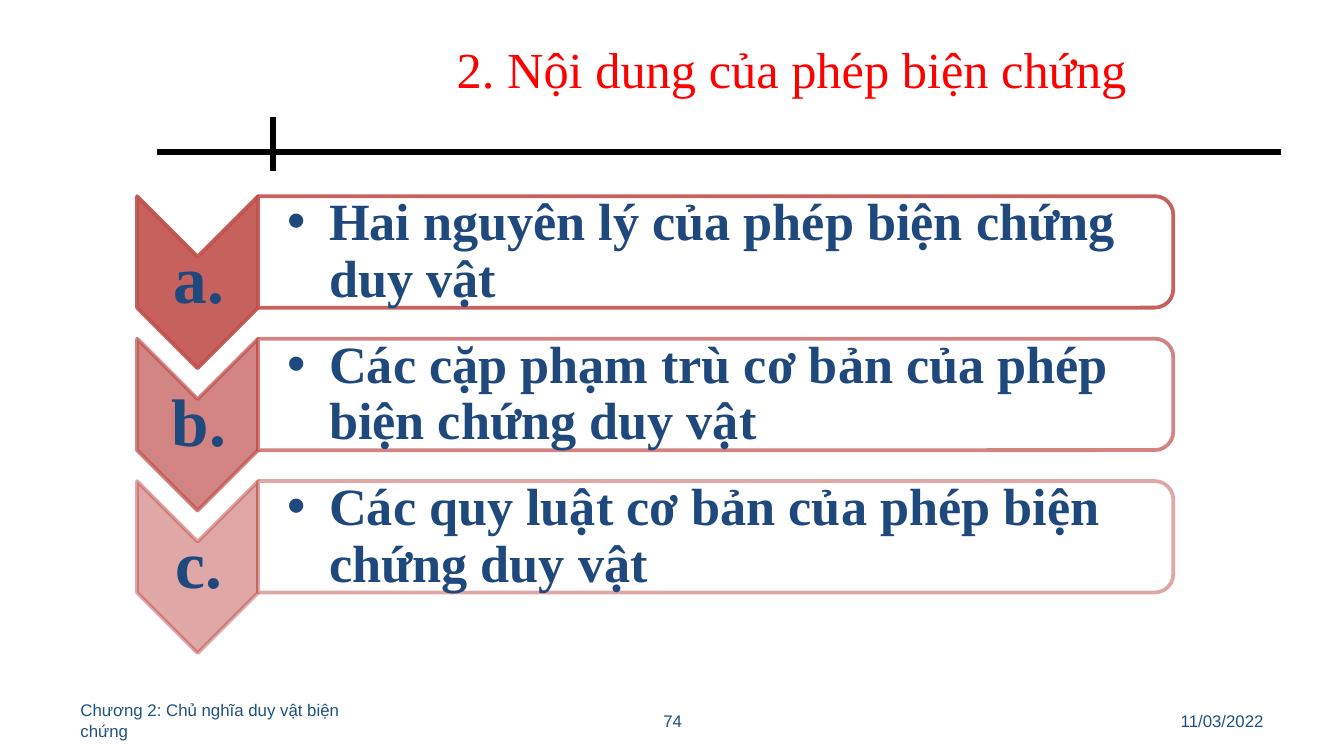
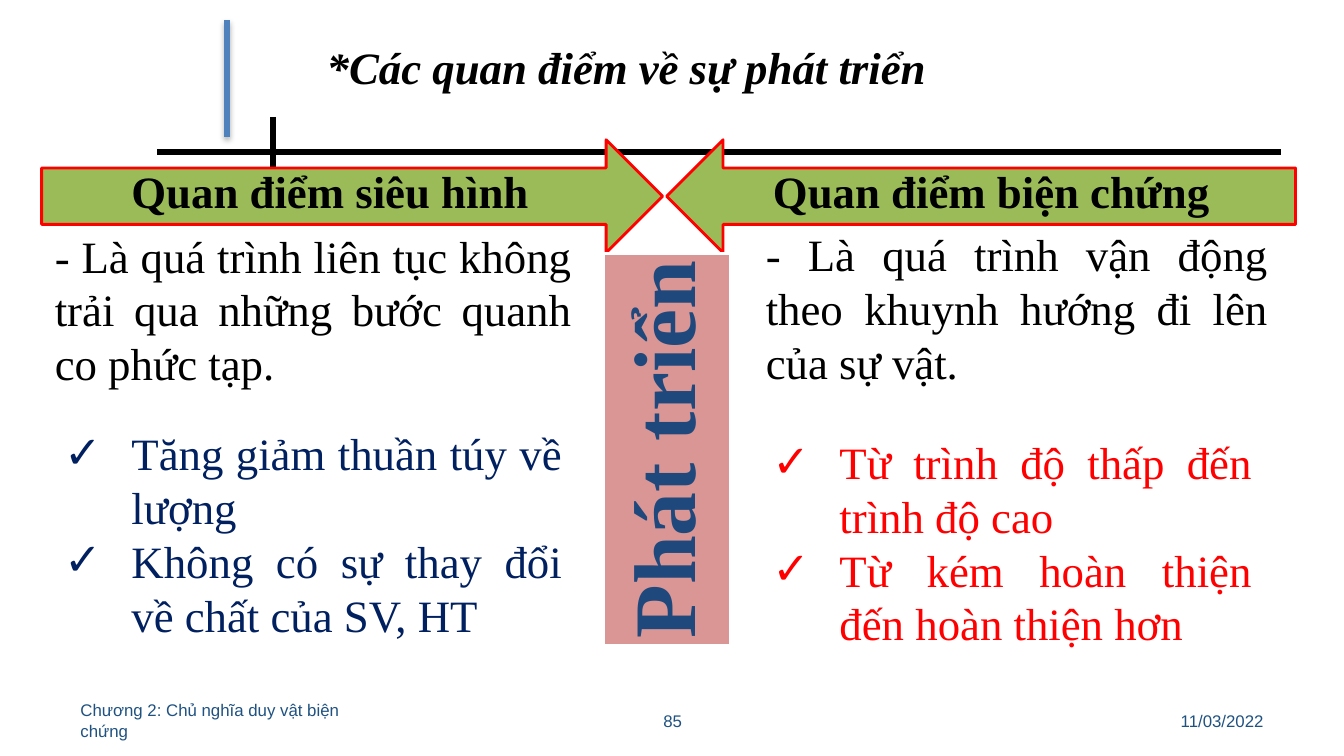
from dataclasses import dataclass
from typing import NamedTuple, Optional

import pptx
import pptx.dml.color
import pptx.enum.dml
import pptx.enum.shapes
import pptx.enum.text
import pptx.oxml
import pptx.oxml.ns
import pptx.util
from lxml import etree

SHAPE = pptx.enum.shapes.MSO_SHAPE
ANCHOR = pptx.enum.text.MSO_ANCHOR
ALIGN = pptx.enum.text.PP_ALIGN
EMU_PER_PX = 9144
SLIDE_WIDTH = 1000


@dataclass(frozen=True)
class Theme:
    serif: str = "Times New Roman"
    sans: str = "Arial"
    white: str = "FFFFFF"
    black: str = "000000"
    red: str = "FF0000"
    brick: str = "C0504D"
    rose: str = "D99694"
    green: str = "9BBB59"
    blue: str = "4F81BD"
    ink: str = "1F497D"
    navy: str = "002060"
    footer: str = "1F5281"
    title_size: int = 27
    body_size: int = 24
    item_size: int = 28
    letter_size: int = 36
    topic_size: int = 47
    footer_size: int = 9
    rule_width: float = 3
    outline_width: float = 2
    arrow_width: float = 1.5


THEME = Theme()


class Box(NamedTuple):
    left: int
    top: int
    width: int
    height: int

    def down(self, distance: int) -> "Box":
        return self._replace(top=self.top + distance)


class Insets(NamedTuple):
    left: int = 10
    top: int = 5
    right: int = 10
    bottom: int = 5


class Bullet(NamedTuple):
    mark: str
    indent: int
    level: int = 0


@dataclass(frozen=True)
class TextStyle:
    size: int
    color: str = THEME.black
    font: str = THEME.serif
    bold: bool = False
    italic: bool = False
    align: ALIGN = ALIGN.LEFT
    anchor: ANCHOR = ANCHOR.MIDDLE
    spacing: Optional[float] = None
    insets: Insets = Insets()
    bullet: Optional[Bullet] = None


class Paint(NamedTuple):
    color: str
    opacity: int = 100


class Outline(NamedTuple):
    paint: Paint
    width: float


class Rule(NamedTuple):
    start: tuple[int, int]
    end: tuple[int, int]
    color: str = THEME.black
    shadow: bool = False


class FooterPart(NamedTuple):
    box: Box
    align: ALIGN


class Viewpoint(NamedTuple):
    heading: str
    heading_box: Box
    arrow: SHAPE
    arrow_box: Box
    definition: str
    definition_box: Box
    features: tuple[str, ...]
    features_box: Box
    features_color: str


HEADER_RULES = (Rule((117, 113), (953, 113)), Rule((203, 87), (203, 127)))
ACCENT_RULE = Rule((169, 15), (169, 102), THEME.blue, shadow=True)
CHAPTER_PART = FooterPart(Box(50, 521, 233, 30), ALIGN.LEFT)
NUMBER_PART = FooterPart(Box(342, 521, 317, 30), ALIGN.CENTER)
DATE_PART = FooterPart(Box(717, 521, 233, 30), ALIGN.RIGHT)

CONTENT_ITEMS = (
    ("a.", "Hai nguyên lý của phép biện chứng duy vật", 90),
    ("b.", "Các cặp phạm trù cơ bản của phép biện chứng duy vật", 70),
    ("c.", "Các quy luật cơ bản của phép biện chứng duy vật", 50),
)
ITEM_STEP = 106

VIEWPOINTS = (
    Viewpoint(
        "Quan điểm biện chứng", Box(534, 117, 407, 50),
        SHAPE.LEFT_ARROW, Box(496, 104, 468, 84),
        "- Là quá trình vận động theo khuynh hướng đi lên của sự vật.",
        Box(560, 164, 393, 131),
        ("Từ trình độ thấp đến trình độ cao", "Từ kém hoàn thiện đến hoàn thiện hơn"),
        Box(556, 313, 394, 181), THEME.red,
    ),
    Viewpoint(
        "Quan điểm siêu hình", Box(42, 117, 407, 50),
        SHAPE.RIGHT_ARROW, Box(31, 104, 462, 84),
        "- Là quá trình liên tục không trải qua những bước quanh co phức tạp.",
        Box(31, 165, 404, 131),
        ("Tăng giảm thuần túy về lượng", "Không có sự thay đổi về chất của SV, HT"),
        Box(31, 325, 404, 144), THEME.navy,
    ),
)

TITLE = TextStyle(THEME.title_size, THEME.red, align=ALIGN.CENTER, spacing=0.9,
                  insets=Insets(bottom=9))
SUBTITLE = TextStyle(THEME.body_size, bold=True, italic=True, align=ALIGN.CENTER,
                     anchor=ANCHOR.BOTTOM, spacing=0.9, insets=Insets(right=18, bottom=1))
LETTER = TextStyle(THEME.letter_size, THEME.ink, bold=True, align=ALIGN.CENTER,
                   spacing=0.9, insets=Insets(3, 3, 3, 3))
ITEM = TextStyle(THEME.item_size, THEME.ink, bold=True, spacing=0.9,
                 insets=Insets(22, 2, 2, 2), bullet=Bullet("•", 31, 1))
TOPIC = TextStyle(THEME.topic_size, THEME.ink, bold=True, align=ALIGN.CENTER,
                  spacing=0.9, insets=Insets(3, 3, 3, 3))
HEADING = TextStyle(THEME.body_size, bold=True, align=ALIGN.CENTER, anchor=ANCHOR.TOP)
DEFINITION = TextStyle(THEME.body_size, align=ALIGN.JUSTIFY, anchor=ANCHOR.TOP)


def px(length: int) -> pptx.util.Emu:
    return pptx.util.Emu(length * EMU_PER_PX)


def emu_box(box: Box) -> tuple[pptx.util.Emu, ...]:
    return tuple(px(length) for length in box)


def rgb(color: str) -> pptx.dml.color.RGBColor:
    return pptx.dml.color.RGBColor.from_string(color)


def add_element(parent, tag: str, **attributes):
    element = etree.SubElement(parent, pptx.oxml.ns.qn(tag))
    for key, value in attributes.items():
        element.set(key, str(value))
    return element


def set_bullet(paragraph, bullet: Bullet) -> None:
    paragraph.level = bullet.level
    properties = paragraph._p.get_or_add_pPr()
    properties.set("marL", str(px(bullet.indent)))
    properties.set("indent", str(-px(bullet.indent)))
    add_element(properties, "a:buFont", typeface=THEME.sans)
    add_element(properties, "a:buChar", char=bullet.mark)


def write(shape, lines: tuple[str, ...], style: TextStyle) -> None:
    frame = shape.text_frame
    frame.auto_size = pptx.enum.text.MSO_AUTO_SIZE.NONE
    frame.word_wrap = True
    frame.vertical_anchor = style.anchor
    (frame.margin_left, frame.margin_top,
     frame.margin_right, frame.margin_bottom) = map(px, style.insets)
    for index, line in enumerate(lines):
        paragraph = frame.add_paragraph() if index else frame.paragraphs[0]
        paragraph.alignment = style.align
        if style.spacing:
            paragraph.line_spacing = style.spacing
        if style.bullet:
            set_bullet(paragraph, style.bullet)
        run = paragraph.add_run()
        run.text = line
        run.font.name = style.font
        run.font.size = pptx.util.Pt(style.size)
        run.font.bold = style.bold
        run.font.italic = style.italic
        run.font.color.rgb = rgb(style.color)


def add_text(slide, box: Box, line: str, style: TextStyle) -> None:
    write(slide.shapes.add_textbox(*emu_box(box)), (line,), style)


def apply_paint(fill, paint: Paint, owner, solid_fill: str) -> None:
    fill.solid()
    fill.fore_color.rgb = rgb(paint.color)
    if paint.opacity < 100:
        color = owner.find(f"{solid_fill}/a:srgbClr", pptx.oxml.ns._nsmap)
        add_element(color, "a:alpha", val=paint.opacity * 1000)


def add_preset(slide, preset: SHAPE, box: Box, paint: Optional[Paint] = None,
               outline: Optional[Outline] = None, rotation: int = 0):
    shape = slide.shapes.add_shape(preset, *emu_box(box))
    shape.shadow.inherit = False
    shape.rotation = rotation
    properties = shape._element.spPr
    if paint:
        apply_paint(shape.fill, paint, properties, "a:solidFill")
    else:
        shape.fill.background()
    if outline:
        shape.line.width = pptx.util.Pt(outline.width)
        apply_paint(shape.line.fill, outline.paint, properties, "a:ln/a:solidFill")
    else:
        shape.line.fill.background()
    return shape


def add_rule(slide, rule: Rule) -> None:
    connector = slide.shapes.add_connector(
        pptx.enum.shapes.MSO_CONNECTOR.STRAIGHT, *map(px, rule.start + rule.end))
    connector.line.color.rgb = rgb(rule.color)
    connector.line.width = pptx.util.Pt(THEME.rule_width)
    effects = add_element(connector._element.spPr, "a:effectLst")
    if rule.shadow:
        shadow = add_element(effects, "a:outerShdw", blurRad=pptx.util.Pt(3.1),
                             dist=pptx.util.Pt(1.8), dir=90 * 60000, rotWithShape=0)
        color = add_element(shadow, "a:srgbClr", val=THEME.black)
        add_element(color, "a:alpha", val=35000)


def add_slide(deck, title: str, title_box: Box, title_style: TextStyle, number: str):
    slide = deck.slides.add_slide(deck.slide_layouts.get_by_name("Title Only"))
    heading = slide.shapes.title
    heading.left, heading.top, heading.width, heading.height = emu_box(title_box)
    write(heading, (title,), title_style)
    for rule in HEADER_RULES:
        add_rule(slide, rule)
    for part, line in (
        (CHAPTER_PART, "Chương 2: Chủ nghĩa duy vật biện chứng"),
        (NUMBER_PART, number),
        (DATE_PART, "11/03/2022"),
    ):
        style = TextStyle(THEME.footer_size, THEME.footer, THEME.sans, align=part.align)
        add_text(slide, part.box, line, style)
    return slide


def build_contents(deck) -> None:
    slide = add_slide(deck, "2. Nội dung của phép biện chứng",
                      Box(225, 5, 728, 102), TITLE, "74")
    for index, (letter, item, opacity) in enumerate(CONTENT_ITEMS):
        drop = index * ITEM_STEP
        tint = Paint(THEME.brick, opacity)
        outline = Outline(tint, THEME.outline_width)
        add_preset(slide, SHAPE.CHEVRON, Box(83, 165, 128, 90).down(drop), tint, outline, 90)
        add_text(slide, Box(103, 191, 90, 38).down(drop), letter, LETTER)
        add_preset(slide, SHAPE.ROUND_2_SAME_RECTANGLE, Box(491, -153, 83, 681).down(drop),
                   Paint(THEME.white, 90), outline, 90)
        add_text(slide, Box(192, 150, 677, 75).down(drop), item, ITEM)


def build_viewpoints(deck) -> None:
    slide = add_slide(deck, "*Các quan điểm về sự phát triển",
                      Box(179, 11, 582, 60), SUBTITLE, "85")
    for view in VIEWPOINTS:
        add_preset(slide, view.arrow, view.arrow_box, Paint(THEME.green),
                   Outline(Paint(THEME.red), THEME.arrow_width))
        add_text(slide, view.heading_box, view.heading, HEADING)
    topic = add_preset(slide, SHAPE.RECTANGLE, Box(350, 287, 292, 95), Paint(THEME.rose),
                       Outline(Paint(THEME.white), THEME.outline_width), 270)
    write(topic, ("Phát triển",), TOPIC)
    for view in VIEWPOINTS:
        add_text(slide, view.definition_box, view.definition, DEFINITION)
        features = add_preset(slide, SHAPE.FLOWCHART_ALTERNATE_PROCESS, view.features_box)
        write(features, view.features,
              TextStyle(THEME.body_size, view.features_color, align=ALIGN.JUSTIFY,
                        bullet=Bullet("✓", 50)))
    add_rule(slide, ACCENT_RULE)


def main() -> None:
    deck = pptx.Presentation()
    deck.slide_width = px(SLIDE_WIDTH)
    deck.slide_height = px(SLIDE_WIDTH) * 9 // 16
    build_contents(deck)
    build_viewpoints(deck)
    deck.save("out.pptx")


if __name__ == "__main__":
    main()
